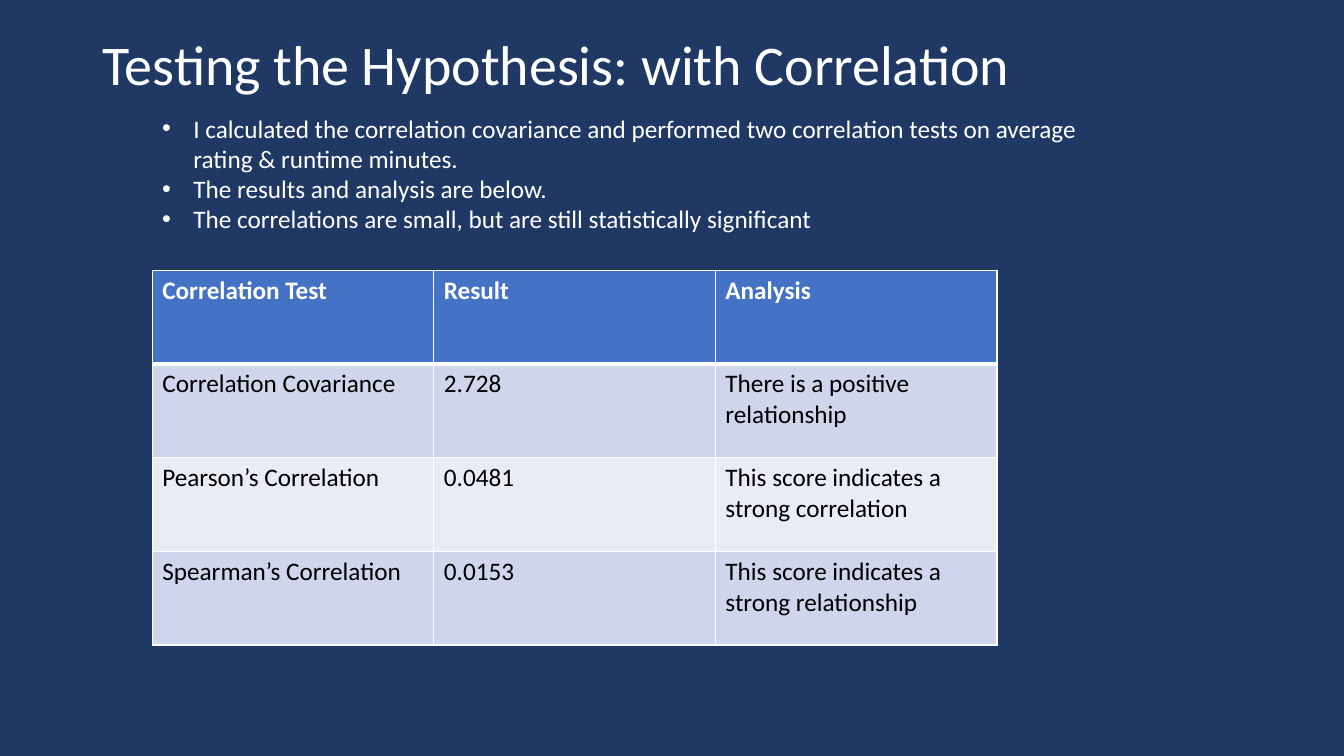
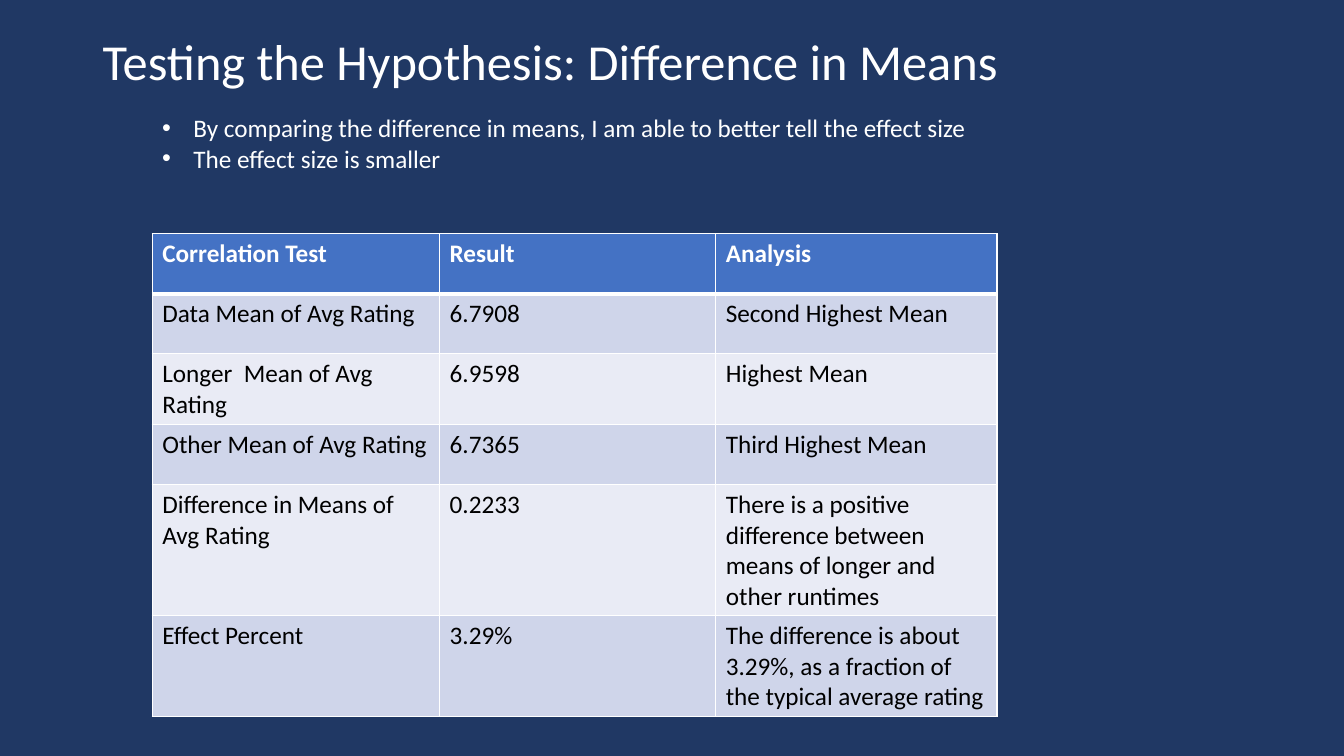
from dataclasses import dataclass

from lxml import etree
from pptx import Presentation
from pptx.dml.color import RGBColor
from pptx.enum import text
from pptx.oxml import ns
from pptx.util import Emu, Inches, Pt

W, H = Inches(13.33), Inches(7.5)
FONT = "Calibri"
COLORS = {
    "background": "203864",
    "white": "FFFFFF",
    "black": "000000",
    "header": "4472C4",
    "band_dark": "CFD5EA",
    "band_light": "E9EBF5",
}
HEADINGS = ("Correlation Test", "Result", "Analysis")
TITLE_LEFT, TITLE_TOP, TITLE_WIDTH, TITLE_HEIGHT = 6.9, 4.27, 86.25, 13.6
BODY_LEFT, BODY_TOP, BODY_WIDTH = 11.33, 14.27, 71.94
INDENT = Inches(0.31)


@dataclass(frozen=True)
class TestSlide:
    title: str
    title_size: int
    bullets: tuple[str, ...]
    bullets_height: float
    table_top: float
    columns: tuple[float, ...]
    heights: tuple[float, ...]
    results: tuple[tuple[str, str, str], ...]


SLIDES = (
    TestSlide(
        title="Testing the Hypothesis: with Correlation",
        title_size=40,
        bullets=(
            "I calculated the correlation covariance and performed two correlation "
            "tests on average rating & runtime minutes.",
            "The results and analysis are below.",
            "The correlations are small, but are still statistically significant",
        ),
        bullets_height=21.6,
        table_top=35.73,
        columns=(20.95,) * 3,
        heights=(12.4,) * 4,
        results=(
            ("Correlation Covariance", "2.728", "There is a positive relationship"),
            ("Pearson’s Correlation", "0.0481", "This score indicates a strong correlation"),
            ("Spearman’s Correlation", "0.0153", "This score indicates a strong relationship"),
        ),
    ),
    TestSlide(
        title="Testing the Hypothesis: Difference in Means",
        title_size=36,
        bullets=(
            "By comparing the difference in means, I am able to better tell the effect size",
            "The effect size is smaller",
        ),
        bullets_height=13.47,
        table_top=30.93,
        columns=(21.38, 20.55, 20.92),
        heights=(7.93, 7.93, 9.2, 7.93, 17.33, 13.33),
        results=(
            ("Data Mean of Avg Rating", "6.7908", "Second Highest Mean"),
            ("Longer  Mean of Avg Rating", "6.9598", "Highest Mean"),
            ("Other Mean of Avg Rating", "6.7365", "Third Highest Mean"),
            ("Difference in Means of Avg Rating", "0.2233",
             "There is a positive difference between means of longer and other runtimes"),
            ("Effect Percent", "3.29%",
             "The difference is about 3.29%, as a fraction of the typical average rating"),
        ),
    ),
)


def across(percent: float) -> Emu:
    return Emu(round(W * percent / 100))


def down(percent: float) -> Emu:
    return Emu(round(H * percent / 100))


def rgb(name: str) -> RGBColor:
    return RGBColor.from_string(COLORS[name])


def style(p, size: int, color: str = "white", bold: bool = False) -> None:
    for r in p.runs:
        r.font.name = FONT
        r.font.size = Pt(size)
        r.font.bold = bold
        r.font.color.rgb = rgb(color)


def add_text(s, left: float, top: float, width: float, height: float):
    sp = s.shapes.add_textbox(across(left), down(top), across(width), down(height))
    tf = sp.text_frame
    tf.word_wrap = True
    tf.vertical_anchor = text.MSO_ANCHOR.TOP
    return tf


def add_title(s, title: str, size: int) -> None:
    tf = add_text(s, TITLE_LEFT, TITLE_TOP, TITLE_WIDTH, TITLE_HEIGHT)
    p = tf.paragraphs[0]
    p.text = title
    p.line_spacing = 0.9
    style(p, size)


def add_bullets(s, bullets: tuple[str, ...], height: float) -> None:
    tf = add_text(s, BODY_LEFT, BODY_TOP, BODY_WIDTH, height)
    tf.text = "\n".join(bullets)
    for p in tf.paragraphs:
        style(p, 18)
        pPr = p._p.get_or_add_pPr()
        pPr.set("marL", str(INDENT))
        pPr.set("indent", str(-INDENT))
        etree.SubElement(pPr, ns.qn("a:buFont")).set("typeface", "Arial")
        etree.SubElement(pPr, ns.qn("a:buChar")).set("char", "•")


def add_borders(cell, row: int) -> None:
    tcPr = cell._tc.get_or_add_tcPr()
    thick = {(0, "B"), (1, "T")}
    for side in "LRTB":
        ln = etree.SubElement(tcPr, ns.qn(f"a:ln{side}"))
        ln.set("w", str(Pt(3 if (row, side) in thick else 1)))
        fill = etree.SubElement(ln, ns.qn("a:solidFill"))
        etree.SubElement(fill, ns.qn("a:srgbClr")).set("val", COLORS["white"])


def add_results(s, content: TestSlide) -> None:
    rows = (HEADINGS, *content.results)
    table = s.shapes.add_table(
        len(rows), len(HEADINGS), across(BODY_LEFT), down(content.table_top),
        across(sum(content.columns)), down(sum(content.heights)),
    ).table
    for column, width in zip(table.columns, content.columns):
        column.width = across(width)
    for i, (values, height) in enumerate(zip(rows, content.heights)):
        table.rows[i].height = down(height)
        band = "header" if i == 0 else "band_dark" if i % 2 else "band_light"
        for j, value in enumerate(values):
            cell = table.cell(i, j)
            cell.text_frame.text = value
            style(cell.text_frame.paragraphs[0], 18,
                  "white" if i == 0 else "black", bold=i == 0)
            add_borders(cell, i)
            cell.fill.solid()
            cell.fill.fore_color.rgb = rgb(band)


def main() -> None:
    prs = Presentation()
    prs.slide_width, prs.slide_height = W, H
    for content in SLIDES:
        s = prs.slides.add_slide(prs.slide_layouts[6])
        s.background.fill.solid()
        s.background.fill.fore_color.rgb = rgb("background")
        add_title(s, content.title, content.title_size)
        add_bullets(s, content.bullets, content.bullets_height)
        add_results(s, content)
    prs.save("out.pptx")


if __name__ == "__main__":
    main()
